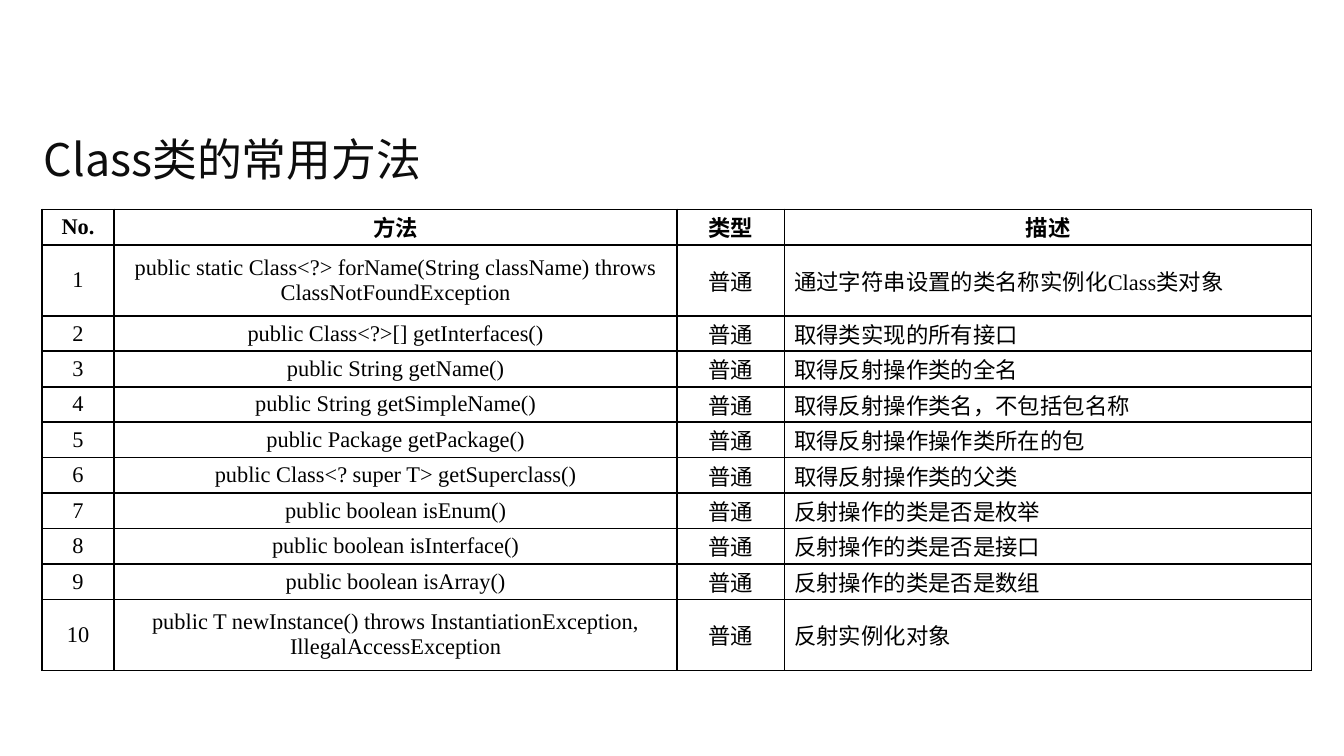
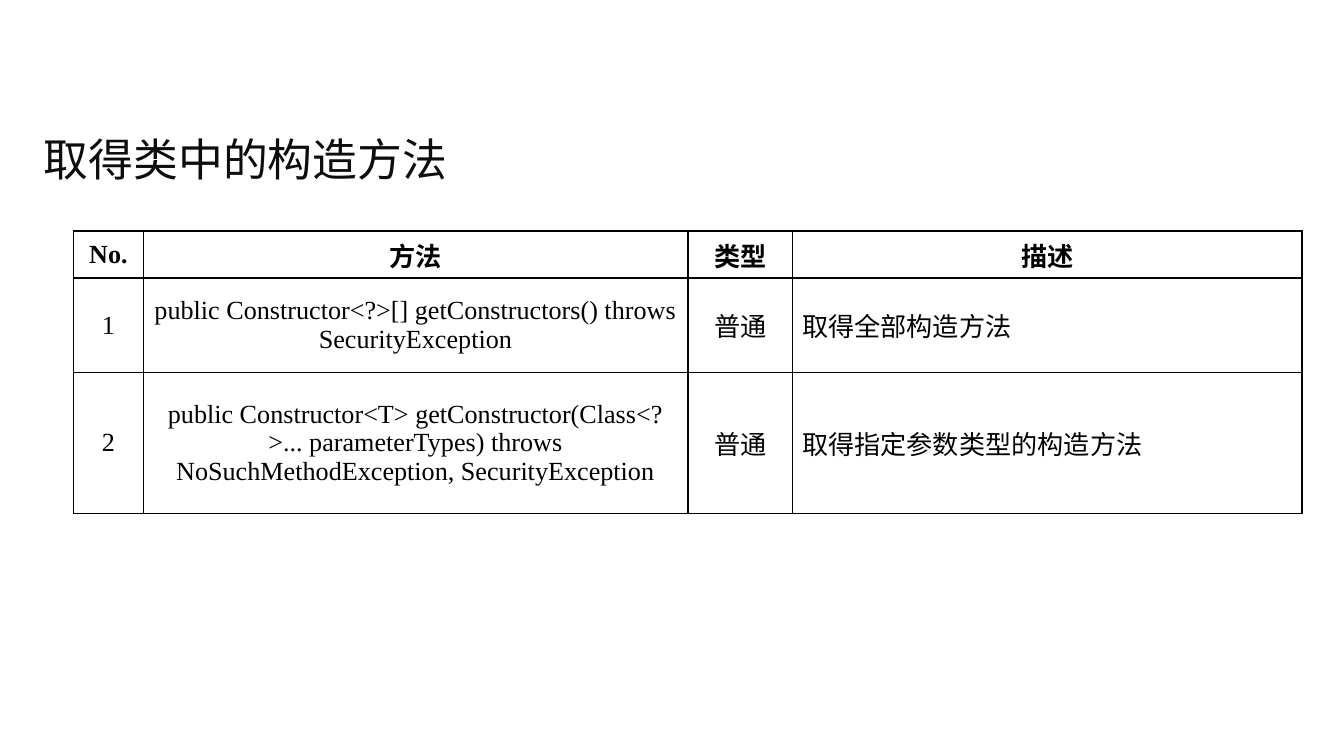
from lxml import etree
from pptx import Presentation
from pptx import util as u
from pptx.dml.color import RGBColor
from pptx.enum import text
from pptx.oxml.ns import qn

# Shared style
CJK_FONT = "Noto Sans CJK SC"
LATIN_FONT = "Times New Roman"
TITLE_COLOR = "0D0D0D"
TABLE_COLOR = "000000"
BORDER_WIDTH = u.Pt(1)
HEADINGS = ("No.", "方法", "类型", "描述")
KIND = "普通"

# Content: method, description, height in row units
CLASS_METHODS = [
    ("public static Class<?> forName(String className) throws ClassNotFoundException",
     "通过字符串设置的类名称实例化Class类对象", 2),
    ("public Class<?>[] getInterfaces()", "取得类实现的所有接口", 1),
    ("public String getName()", "取得反射操作类的全名", 1),
    ("public String getSimpleName()", "取得反射操作类名，不包括包名称", 1),
    ("public Package getPackage()", "取得反射操作操作类所在的包", 1),
    ("public Class<? super T> getSuperclass()", "取得反射操作类的父类", 1),
    ("public boolean isEnum()", "反射操作的类是否是枚举", 1),
    ("public boolean isInterface()", "反射操作的类是否是接口", 1),
    ("public boolean isArray()", "反射操作的类是否是数组", 1),
    ("public T newInstance() throws InstantiationException, IllegalAccessException",
     "反射实例化对象", 2),
]
CONSTRUCTOR_METHODS = [
    ("public Constructor<?>[] getConstructors() throws SecurityException",
     "取得全部构造方法", 2),
    ("public Constructor<T> getConstructor(Class<?>... parameterTypes) throws "
     "NoSuchMethodException, SecurityException", "取得指定参数类型的构造方法", 3),
]


def color(code):
    return RGBColor.from_string(code)


def add_span(para, words, size, font, code, bold=False):
    span = para.add_run()
    span.text = words
    span.font.size = u.Pt(size)
    span.font.bold = bold
    span.font.name = font
    span.font.color.rgb = color(code)
    east_asian = etree.SubElement(span.font._element, qn("a:ea"))
    east_asian.set("typeface", CJK_FONT)


def add_title(page, words):
    box = page.shapes.add_textbox(u.Cm(0.58), u.Cm(2.18), u.Cm(24.21), u.Cm(1.63))
    frame = box.text_frame
    frame.word_wrap = True
    frame.vertical_anchor = text.MSO_ANCHOR.MIDDLE
    add_span(frame.paragraphs[0], words, 24, CJK_FONT, TITLE_COLOR)


def add_borders(cell):
    properties = cell._tc.get_or_add_tcPr()
    for side in ("a:lnL", "a:lnR", "a:lnT", "a:lnB"):
        line = etree.SubElement(properties, qn(side), w=str(BORDER_WIDTH))
        fill = etree.SubElement(line, qn("a:solidFill"))
        etree.SubElement(fill, qn("a:srgbClr"), val=TABLE_COLOR)


def fill_cell(cell, words, size, bold, align):
    add_borders(cell)
    cell.fill.background()
    cell.vertical_anchor = text.MSO_ANCHOR.MIDDLE
    cell.margin_left = cell.margin_right = u.Cm(0.18)
    cell.margin_top = cell.margin_bottom = 0
    para = cell.text_frame.paragraphs[0]
    para.alignment = align
    add_span(para, words, size, LATIN_FONT, TABLE_COLOR, bold)


def add_method_table(page, left, top, widths, unit, size, methods):
    rows = [HEADINGS]
    rows += [(str(number), method, KIND, description)
             for number, (method, description, _) in enumerate(methods, 1)]
    heights = [unit] + [unit * units for _, _, units in methods]
    table = page.shapes.add_table(
        len(rows), len(widths), u.Cm(left), u.Cm(top),
        u.Cm(sum(widths)), u.Cm(sum(heights))).table
    for column, width in zip(table.columns, widths):
        column.width = u.Cm(width)
    for r, (words_of_row, height) in enumerate(zip(rows, heights)):
        table.rows[r].height = u.Cm(height)
        for c, words in enumerate(words_of_row):
            is_description = r > 0 and c == len(widths) - 1
            align = text.PP_ALIGN.JUSTIFY if is_description else text.PP_ALIGN.CENTER
            fill_cell(table.cell(r, c), words, size, r == 0, align)


def add_page(deck, title):
    page = deck.slides.add_slide(deck.slide_layouts[6])
    add_title(page, title)
    return page


def main():
    deck = Presentation()
    deck.slide_width, deck.slide_height = u.Cm(25.4), u.Cm(14.29)

    # Common methods of Class
    page = add_page(deck, "Class类的常用方法")
    add_method_table(page, 0.79, 3.96, (1.37, 10.64, 2.03, 9.96), 0.67, 12,
                     CLASS_METHODS)

    # Reading the constructors of a class
    page = add_page(deck, "取得类中的构造方法")
    add_method_table(page, 1.39, 4.37, (1.32, 10.29, 1.98, 9.63), 0.89, 14,
                     CONSTRUCTOR_METHODS)

    deck.save("out.pptx")


if __name__ == "__main__":
    main()
